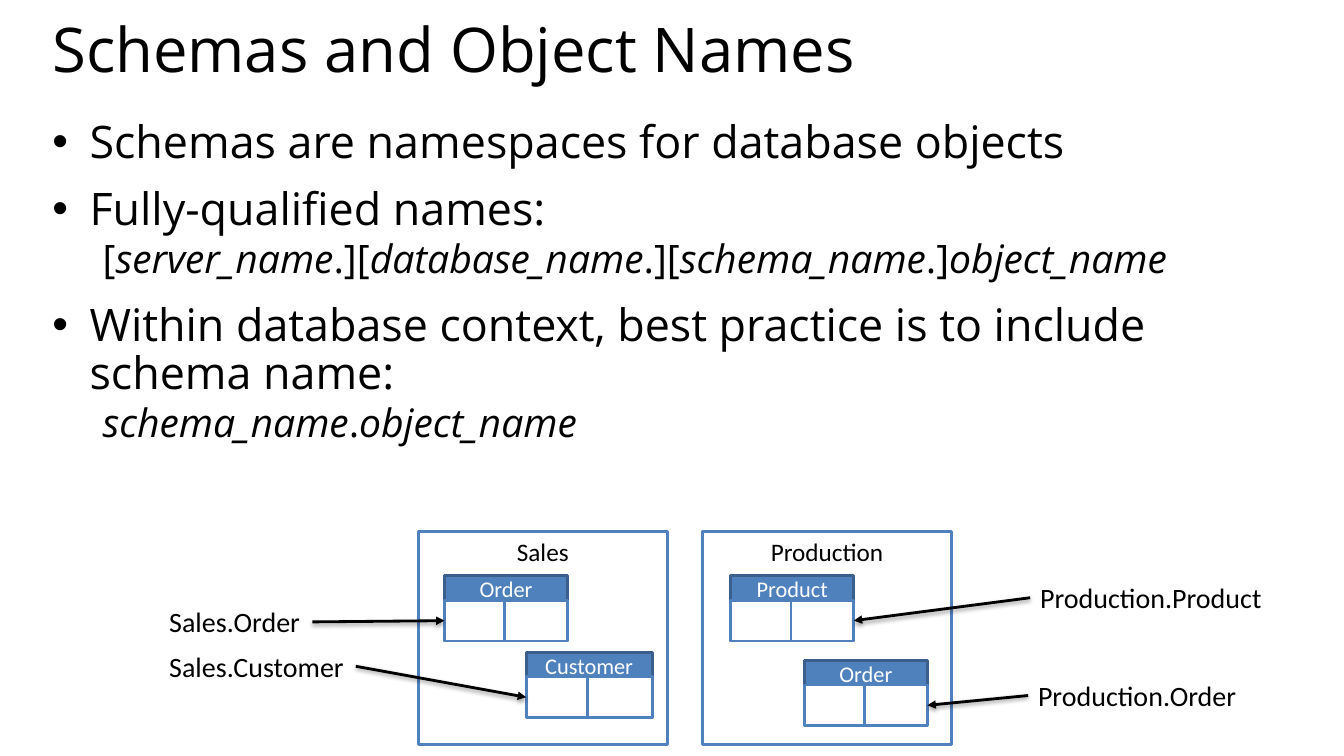
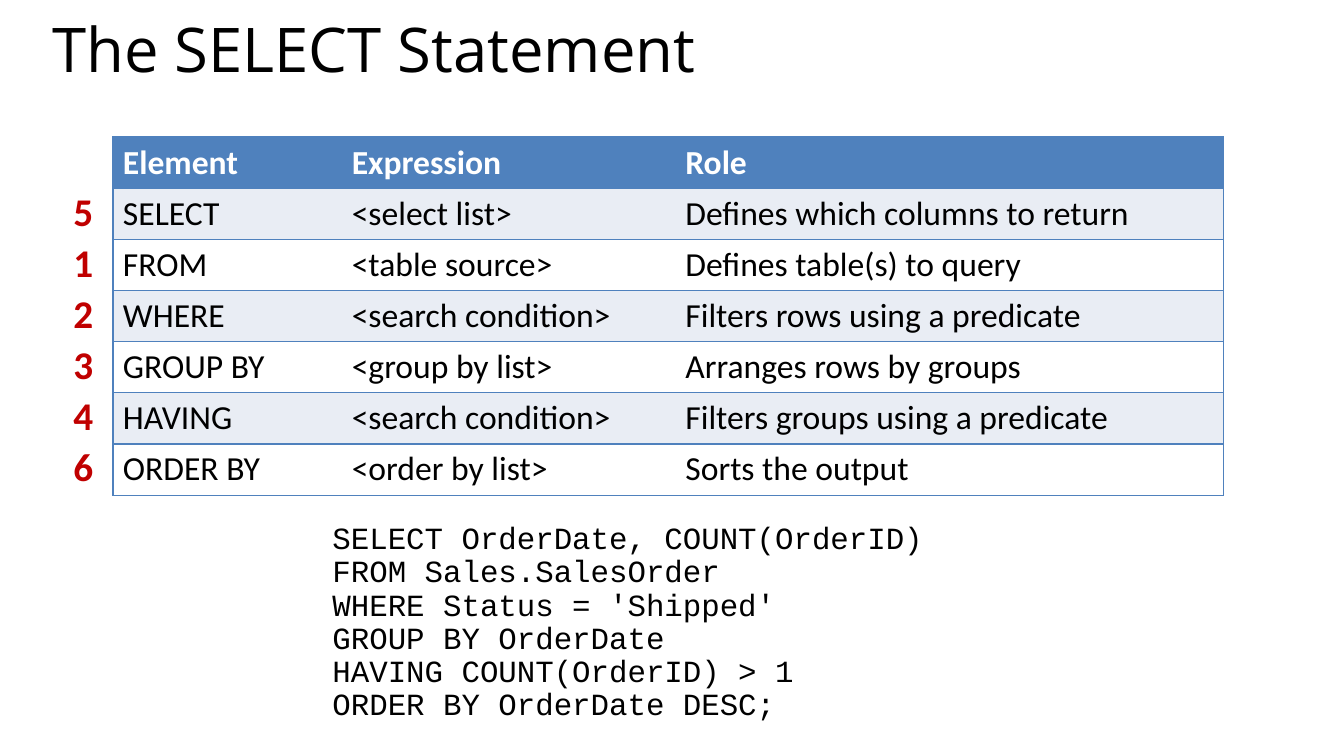
"""Two slides on SQL schemas and the SELECT statement."""
from lxml import etree
from pptx import Presentation, util as u
from pptx.dml.color import RGBColor
from pptx.enum import shapes, text
from pptx.oxml import parse_xml
from pptx.oxml.ns import nsdecls, qn

C = {"black": "000000", "white": "FFFFFF", "blue": "4F81BD",
     "dark": "3A5F8C", "band": "E9EDF4", "red": "C00000"}
BODY = "Open Sans"

prs = Presentation()
prs.slide_width, prs.slide_height = u.Inches(13.333), u.Inches(7.5)
COL, ROW = prs.slide_width / 40, prs.slide_height / 30


def block(s, x, y, w, h, fill=None, line=None, wrap=True):
    """Add a text box, or a rectangle when a fill is given, on the grid."""
    box = [int(x * COL), int(y * ROW), int(w * COL), int(h * ROW)]
    if fill:
        sp = s.shapes.add_shape(shapes.MSO_SHAPE.RECTANGLE, *box)
        sp.shadow.inherit = False
        sp.fill.solid()
        sp.fill.fore_color.rgb = RGBColor.from_string(C[fill])
        sp.line.color.rgb = RGBColor.from_string(C[line])
        sp.line.width = u.Pt(2)
    else:
        sp = s.shapes.add_textbox(*box)
    sp.text_frame.word_wrap = wrap
    sp.text_frame.vertical_anchor = text.MSO_ANCHOR.TOP
    return sp


def run(p, words, size, color="black", font="Calibri", bold=False, italic=False):
    """Add one formatted run to a paragraph."""
    r = p.add_run()
    r.text = words
    r.font.size, r.font.name = u.Pt(size), font
    r.font.bold, r.font.italic = bold, italic
    r.font.color.rgb = RGBColor.from_string(C[color])


slides = []
for title in ("Schemas and Object Names", "The SELECT Statement"):
    s = prs.slides.add_slide(prs.slide_layouts[6])
    p = block(s, 1.26, 0.8, 37.8, 4.64).text_frame.paragraphs[0]
    p.line_spacing = 0.8
    run(p, title, 44, font=BODY)
    slides.append(s)
names, select = slides

points = [
    (0, ["Schemas are namespaces for database objects"]),
    (0, ["Fully-qualified names:"]),
    (1, ["[", "server_name", ".][", "database_name", ".][", "schema_name", ".]", "object_name"]),
    (0, ["Within database context, best practice is to include schema name:"]),
    (1, ["", "schema_name", ".", "object_name"]),
]
tf = block(names, 1.26, 4.56, 37.8, 24.72).text_frame
for i, (level, parts) in enumerate(points):
    p = tf.add_paragraph() if i else tf.paragraphs[0]
    p.line_spacing = 0.9
    pPr = p._p.get_or_add_pPr()
    if level:
        p.level = 1
        p.space_before, p.space_after = u.Pt(3), u.Pt(2)
        pPr.set("marL", str(u.Inches(0.5)))
        pPr.set("indent", "0")
    else:
        p.space_before = u.Pt(13 if i else 0)
        pPr.set("marL", str(u.Inches(0.37)))
        pPr.set("indent", str(-u.Inches(0.37)))
        etree.SubElement(pPr, qn("a:buFont")).set("typeface", "Arial")
        etree.SubElement(pPr, qn("a:buChar")).set("char", "•")
    for j, part in enumerate(parts):
        if part:
            run(p, part, 28 if level else 32, font=BODY, italic=j % 2 == 1)

for name, x in (("Sales", 12.45), ("Production", 20.91)):
    p = block(names, x, 21.08, 7.41, 8.48, "white", "blue").text_frame.paragraphs[0]
    p.alignment = text.PP_ALIGN.CENTER
    run(p, name, 18)

tables = [
    ("Order", 13.23, 22.84, 3.66, "Sales.Order", 4.74, 23.8, 4.56),
    ("Customer", 15.66, 25.88, 3.75, "Sales.Customer", 4.74, 25.56, 5.85),
    ("Product", 21.75, 22.84, 3.66, "Production.Product", 30.66, 22.84, 7.26),
    ("Order", 23.94, 26.2, 3.66, "Production.Order", 30.6, 26.72, 6.57),
]
for name, x, y, w, full, label_x, label_y, label_w in tables:
    head = block(names, x, y, w, 2.6, "blue", "dark")
    head.text_frame.margin_top = 0
    p = head.text_frame.paragraphs[0]
    p.alignment = text.PP_ALIGN.CENTER
    run(p, name, 16, "white")
    cell_w = 0.51 * w
    left, right = [block(names, cx, y + 0.98, cell_w, 1.62, "white", "blue")
                   for cx in (x, x + w - cell_w)]

    label = block(names, label_x, label_y, label_w, 1.76, wrap=False)
    run(label.text_frame.paragraphs[0], full, 20)
    arrow = names.shapes.add_connector(shapes.MSO_CONNECTOR.STRAIGHT, 0, 0, 0, 0)
    start, cell, end = (3, left, 1) if label_x < x else (1, right, 3)
    arrow.begin_connect(label, start)
    arrow.end_connect(cell, end)
    arrow.line.color.rgb = RGBColor.from_string(C["black"])
    arrow.line.width = u.Pt(2)
    etree.SubElement(arrow.line._get_or_add_ln(), qn("a:tailEnd")).set("type", "triangle")
    arrow._element.spPr.append(parse_xml(
        f'<a:effectLst {nsdecls("a")}><a:outerShdw blurRad="{u.Pt(3.1)}" dist="{u.Pt(1.6)}" '
        f'dir="5400000" rotWithShape="0"><a:srgbClr val="{C["black"]}">'
        '<a:alpha val="38000"/></a:srgbClr></a:outerShdw></a:effectLst>'))

rows = [
    ("Element", "Expression", "Role"),
    ("SELECT", "<select list>", "Defines which columns to return"),
    ("FROM", "<table source>", "Defines table(s) to query"),
    ("WHERE", "<search condition>", "Filters rows using a predicate"),
    ("GROUP BY", "<group by list>", "Arranges rows by groups"),
    ("HAVING", "<search condition>", "Filters groups using a predicate"),
    ("ORDER BY", "<order by list>", "Sorts the output"),
]
widths, row_h = (6.81, 9.93, 16.32), 2.03
table = select.shapes.add_table(
    len(rows), len(widths), int(3.36 * COL), int(5.44 * ROW),
    int(sum(widths) * COL), int(len(rows) * row_h * ROW)).table
for column, w in zip(table.columns, widths):
    column.width = int(w * COL)
for i, row in enumerate(rows):
    table.rows[i].height = int(row_h * ROW)
    for j, words in enumerate(row):
        cell = table.cell(i, j)
        run(cell.text_frame.paragraphs[0], words, 24, "black" if i else "white", bold=i == 0)
        tcPr = cell._tc.get_or_add_tcPr()
        for side, drawn in (("L", j == 0), ("R", j == 2), ("T", True), ("B", True)):
            paint = (f'<a:solidFill><a:srgbClr val="{C["blue"]}"/></a:solidFill>'
                     if drawn else "<a:noFill/>")
            tcPr.append(parse_xml(
                f'<a:ln{side} {nsdecls("a")} w="{u.Pt(1)}">{paint}</a:ln{side}>'))
        cell.fill.solid()
        fill = "blue" if i == 0 else ("white", "band")[i % 2]
        cell.fill.fore_color.rgb = RGBColor.from_string(C[fill])

for i, step in enumerate("512346"):
    p = block(select, 1.89, 7.24 + i * 2.02, 1.2, 2.28, wrap=False).text_frame.paragraphs[0]
    run(p, step, 28, "red", bold=True)

query = [
    "SELECT OrderDate, COUNT(OrderID)",
    "FROM Sales.SalesOrder",
    "WHERE Status = 'Shipped'",
    "GROUP BY OrderDate",
    "HAVING COUNT(OrderID) > 1",
    "ORDER BY OrderDate DESC;",
]
tf = block(select, 9.6, 20.56, 20, 8.4).text_frame
for i, words in enumerate(query):
    p = tf.add_paragraph() if i else tf.paragraphs[0]
    p.line_spacing = 0.9
    run(p, words, 22, font="Courier New")

prs.save("out.pptx")
